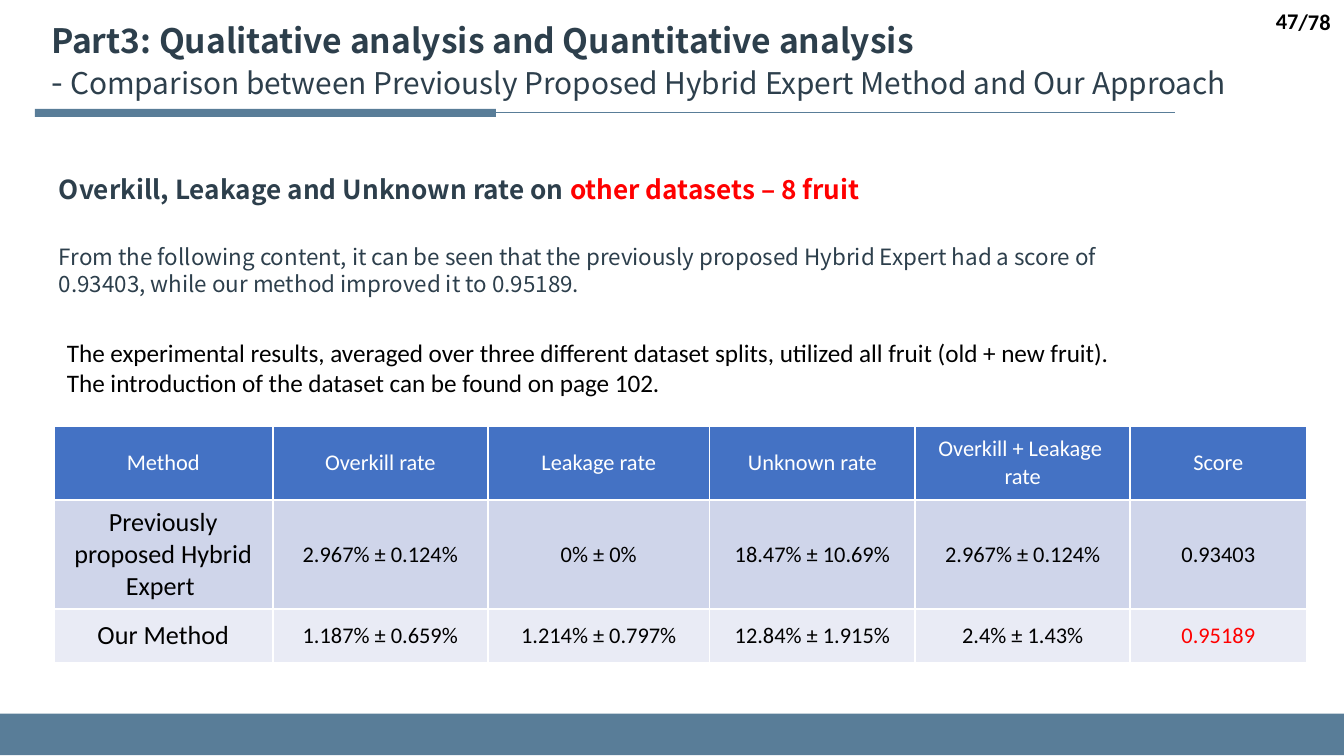
from lxml.etree import SubElement
from pptx import Presentation
from pptx.dml.color import RGBColor
from pptx.enum.shapes import MSO_CONNECTOR, MSO_SHAPE
from pptx.enum.text import MSO_ANCHOR, MSO_AUTO_SIZE, PP_ALIGN
from pptx.oxml.ns import qn
from pptx.util import Inches, Pt

HEADERS = ["Method", "Overkill rate", "Leakage rate", "Unknown rate",
           "Overkill + Leakage \nrate", "Score"]
RESULTS = [
    ["Previously proposed Hybrid Expert ", "2.967% ± 0.124%", "0% ± 0%",
     "18.47% ± 10.69%", "2.967% ± 0.124%", "0.93403"],
    ["Our Method", "1.187% ± 0.659%", "1.214% ± 0.797%",
     "12.84% ± 1.915%", "2.4% ± 1.43%", "0.95189"],
]
COL_WIDTHS = [1.63, 1.6, 1.65, 1.53, 1.6, 1.31]
ROW_HEIGHTS = [0.55, 0.81, 0.4]
ROW_FILLS = ["4472C4", "CFD5EA", "E9EBF5"]


def color(value):
    """Turn a hex string into a colour."""
    return RGBColor.from_string(value)


def add_run(p, text, size=12, font="Calibri", fill="000000", bold=False):
    """Add a formatted run to a paragraph."""
    r = p.add_run()
    r.text = text
    r.font.size = Pt(size)
    r.font.name = font
    r.font.bold = bold
    r.font.color.rgb = color(fill)


def write(tf, text, align=PP_ALIGN.LEFT, **style):
    """Write each line of text as a paragraph."""
    for i, line in enumerate(text.split("\n")):
        p = tf.paragraphs[0] if i == 0 else tf.add_paragraph()
        p.alignment = align
        add_run(p, line, **style)


class Deck:
    """Hold the style and the current slide."""

    accent = "597D98"
    heading = {"font": "Noto Sans CJK SC", "fill": "2D3F4C"}

    def __init__(self, prs):
        """Add a title-only slide."""
        self.s = prs.slides.add_slide(prs.slide_layouts[5])

    def bar(self, x, y, w, h):
        """Draw an accent rectangle."""
        sp = self.s.shapes.add_shape(MSO_SHAPE.RECTANGLE, *map(Inches, (x, y, w, h)))
        sp.shadow.inherit = False
        sp.fill.solid()
        sp.fill.fore_color.rgb = color(self.accent)
        sp.line.fill.background()

    def rule(self, x1, x2, y):
        """Draw a thin horizontal line."""
        line = self.s.shapes.add_connector(
            MSO_CONNECTOR.STRAIGHT, *map(Inches, (x1, y, x2, y)))
        line.line.color.rgb = color(self.accent)
        line.line.width = Pt(0.5)
        SubElement(line.element.spPr, qn("a:effectLst"))

    def title(self, x, y, w, h, main, subtitle):
        """Fill the title with a bold line and a subtitle."""
        sp = self.s.shapes.title
        sp.left, sp.top, sp.width, sp.height = map(Inches, (x, y, w, h))
        tf = sp.text_frame
        tf.word_wrap = True
        tf.auto_size = MSO_AUTO_SIZE.NONE
        tf.vertical_anchor = MSO_ANCHOR.TOP
        p = tf.paragraphs[0]
        p.alignment = PP_ALIGN.LEFT
        add_run(p, main, size=18, bold=True, **self.heading)
        p.add_line_break()
        add_run(p, "- ", size=18, **self.heading)
        add_run(p, subtitle, size=16, **self.heading)

    def text(self, x, y, w, h, text, anchor=MSO_ANCHOR.TOP, wrap=True, **style):
        """Add a text box and return its text frame."""
        tf = self.s.shapes.add_textbox(*map(Inches, (x, y, w, h))).text_frame
        tf.word_wrap = wrap
        tf.vertical_anchor = anchor
        write(tf, text, **style)
        return tf

    def border(self, cell):
        """Give a cell thin white borders."""
        tc_pr = cell._tc.get_or_add_tcPr()
        for i, side in enumerate(("lnL", "lnR", "lnT", "lnB")):
            ln = SubElement(tc_pr, qn(f"a:{side}"), w=str(Pt(1)))
            tc_pr.insert(i, ln)
            fill = SubElement(ln, qn("a:solidFill"))
            SubElement(fill, qn("a:srgbClr"), val="FFFFFF")

    def table(self, x, y, rows):
        """Add the results table."""
        size = Inches(sum(COL_WIDTHS)), Inches(sum(ROW_HEIGHTS))
        table = self.s.shapes.add_table(
            len(rows), len(rows[0]), Inches(x), Inches(y), *size).table
        for col, width in zip(table.columns, COL_WIDTHS):
            col.width = Inches(width)
        for r, values in enumerate(rows):
            table.rows[r].height = Inches(ROW_HEIGHTS[r])
            for c, value in enumerate(values):
                cell = table.cell(r, c)
                cell.fill.solid()
                cell.fill.fore_color.rgb = color(ROW_FILLS[r])
                cell.vertical_anchor = MSO_ANCHOR.MIDDLE
                best = value == "0.95189"
                ink = "FFFFFF" if r == 0 else "FF0000" if best else "000000"
                write(cell.text_frame, value, align=PP_ALIGN.CENTER,
                      size=14 if r and c == 0 else 12, fill=ink)
                self.border(cell)


def main():
    """Build the comparison slide."""
    prs = Presentation()
    prs.slide_width = Inches(10)
    prs.slide_height = prs.slide_width * 9 // 16
    deck = Deck(prs)
    deck.bar(0, 5.31, 10, 0.31)
    deck.rule(0.27, 8.74, 0.84)
    deck.bar(0.26, 0.81, 3.43, 0.06)
    deck.title(0.28, 0.1, 9.52, 0.71,
               "Part3: Qualitative analysis and Quantitative analysis",
               "Comparison between Previously Proposed Hybrid Expert Method and Our Approach")
    deck.table(0.4, 3.17, [HEADERS, *RESULTS])
    deck.text(0.4, 2.46, 9, 0.56,
              "The experimental results, averaged over three different dataset splits, "
              "utilized all fruit (old + new fruit).\n"
              "The introduction of the dataset can be found on page 102.", size=13.5)
    tf = deck.text(0.34, 1.24, 7.42, 0.34, "Overkill, Leakage and Unknown rate on ",
                   size=14, bold=True, **deck.heading)
    add_run(tf.paragraphs[0], "other datasets – 8 fruit", size=14, bold=True,
            font="Noto Sans CJK SC", fill="FF0000")
    deck.text(0.34, 1.76, 8.38, 0.5,
              "From the following content, it can be seen that the previously proposed "
              "Hybrid Expert had a score of 0.93403, while our method improved it to 0.95189.",
              **deck.heading)
    number = {"anchor": MSO_ANCHOR.MIDDLE, "align": PP_ALIGN.RIGHT, "bold": True}
    deck.text(9.54, 0.01, 0.46, 0.3, "/78", wrap=False, **number)
    deck.text(7.75, 0, 2.01, 0.31, "47", **number)
    prs.save("out.pptx")


if __name__ == "__main__":
    main()
